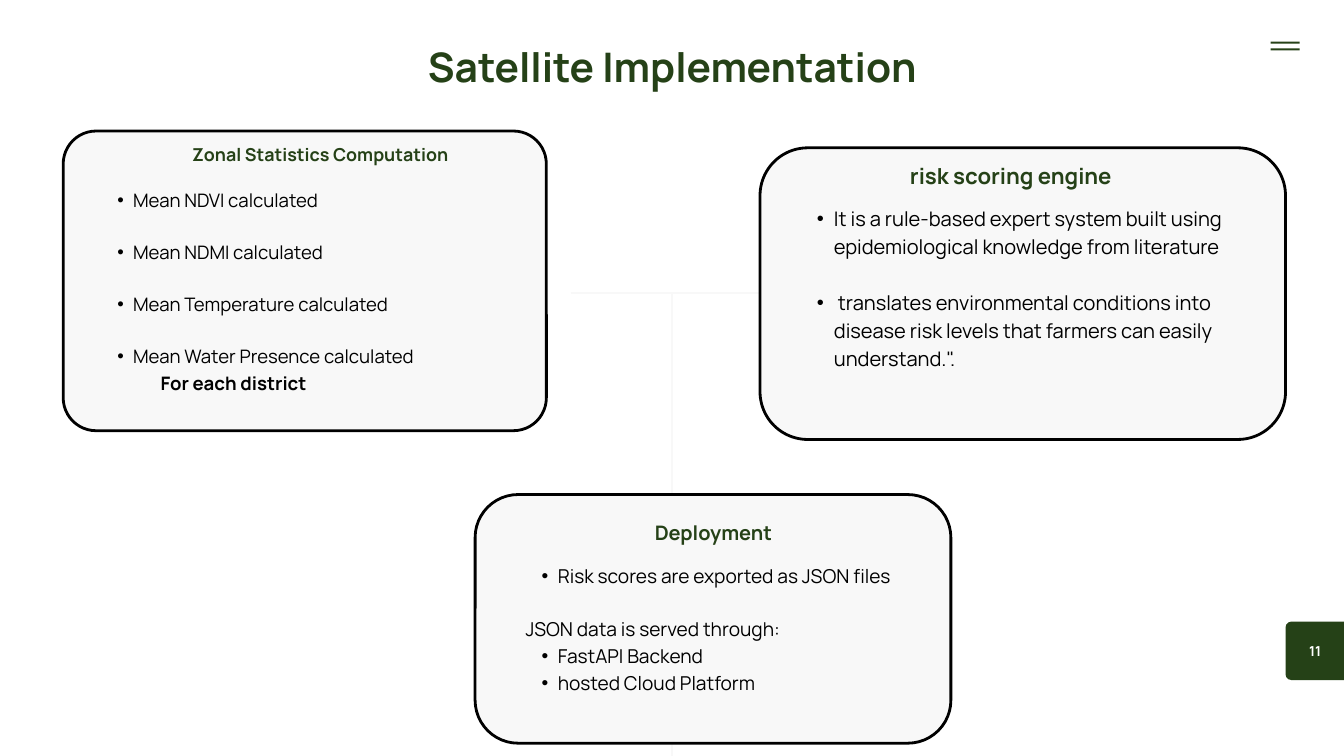
from lxml import etree
from pptx import Presentation
from pptx.dml.color import RGBColor
from pptx.enum.shapes import MSO_CONNECTOR, MSO_SHAPE
from pptx.enum.text import MSO_ANCHOR, MSO_AUTO_SIZE, PP_ALIGN
from pptx.oxml.ns import qn
from pptx.util import Inches, Pt

ROUNDED, BAR = MSO_SHAPE.ROUNDED_RECTANGLE, MSO_SHAPE.RECTANGLE
STRAIGHT = MSO_CONNECTOR.STRAIGHT
TOP, NO_FIT = MSO_ANCHOR.TOP, MSO_AUTO_SIZE.NONE
LEFT, CENTER, JUSTIFY = PP_ALIGN.LEFT, PP_ALIGN.CENTER, PP_ALIGN.JUSTIFY
GREEN, PALE, BLACK, WHITE = "254117", "F8F8F8", "000000", "FFFFFF"
FRAME = dict(margin_left=0, margin_top=0, margin_right=0, margin_bottom=0,
             word_wrap=True, auto_size=NO_FIT, vertical_anchor=TOP)


def color(hex_value):
    return RGBColor.from_string(hex_value)


def write(holder, box, lines, size, leading, ink, align):
    """Each line is (text, bold, bullet, indent in inches, blank lines above)."""
    holder.left, holder.top, holder.width, holder.height = map(Inches, box)
    frame = holder.text_frame
    for key, value in FRAME.items():
        setattr(frame, key, value)
    for i, (text, bold, bullet, indent, gap) in enumerate(lines):
        paragraph = frame.paragraphs[0] if i == 0 else frame.add_paragraph()
        props = paragraph._p.get_or_add_pPr()
        props.set("marL", str(Inches(indent)))
        props.set("indent", str(Inches(-indent / 2 if bullet else 0)))
        if bullet:
            etree.SubElement(props, qn("a:buFont"), typeface="Arial")
            etree.SubElement(props, qn("a:buChar"), char="•")
        else:
            etree.SubElement(props, qn("a:buNone"))
        layout = dict(alignment=align, line_spacing=Pt(leading),
                      space_before=Pt(gap * leading), space_after=Pt(0))
        for key, value in layout.items():
            setattr(paragraph, key, value)
        run = paragraph.add_run()
        run.text = text
        for key, value in dict(name="Manrope", size=Pt(size), bold=bold).items():
            setattr(run.font, key, value)
        run.font.color.rgb = color(ink)


deck = Presentation()
deck.slide_width, deck.slide_height = Inches(20), Inches(11.25)
slide = deck.slides.add_slide(deck.slide_layouts[4])
shapes = slide.shapes

write(shapes.title, (5.85, 0.5, 8.31, 0.87),
      [("Satellite Implementation", True, False, 0, 0)], 43.6, 61, GREEN, CENTER)

green_pieces = [
    (BAR, (18.91, 0.62, 0.43, 0.03)),
    (BAR, (18.91, 0.72, 0.43, 0.03)),
    (ROUNDED, (19.13, 9.25, 1.04, 0.87)),
]
for outline, box in green_pieces:
    piece = shapes.add_shape(outline, *map(Inches, box))
    if outline == ROUNDED:
        piece.adjustments[0] = 0.1
    piece.shadow.inherit = False
    piece.fill.solid()
    piece.fill.fore_color.rgb = color(GREEN)
    piece.line.fill.background()
page_number = shapes.add_textbox(0, 0, 0, 0)
write(page_number, (19.33, 9.53, 0.48, 0.28), [("11", True, False, 0, 0)], 14.7, 20.6, WHITE, CENTER)

for x1, y1, x2, y2 in ((8.49, 4.36, 11.51, 4.36), (10, 4.38, 10, 11.25)):
    link = shapes.add_connector(STRAIGHT, Inches(x1), Inches(y1), Inches(x2), Inches(y2))
    link.line.color.rgb = color(PALE)
    link.line.width = Pt(2.25)
    etree.SubElement(link._element.spPr, qn("a:effectLst"))

cards = [
    dict(box=(0.94, 1.95, 7.19, 4.46), radius=0.49,
         heading="Zonal Statistics Computation", heading_box=(2.48, 2.08, 4.57, 0.36),
         heading_size=19.1, heading_leading=26.7,
         slot=1, list_box=(1.51, 2.76, 5.71, 3.03), size=19.9, leading=27.9, align=LEFT,
         lines=[("Mean NDVI calculated", False, True, 0.47, 0),
                ("Mean NDMI calculated", False, True, 0.47, 1),
                ("Mean Temperature calculated", False, True, 0.47, 1),
                ("Mean Water Presence calculated", False, True, 0.47, 1),
                ("For each district", True, False, 0.88, 0)]),
    dict(box=(11.31, 2.2, 7.82, 4.34), radius=0.71,
         heading="risk scoring engine", heading_box=(12.99, 2.35, 4.1, 0.46),
         heading_size=23.7, heading_leading=33.1,
         slot=2, list_box=(11.9, 3.01, 6.64, 2.89), size=21.5, leading=30.1, align=LEFT,
         lines=[("It is a rule-based expert system built using epidemiological "
                 "knowledge from literature", False, True, 0.51, 0),
                (" translates environmental conditions into disease risk levels "
                 "that farmers can easily understand.\".", False, True, 0.51, 1)]),
    dict(box=(7.07, 7.36, 7.08, 3.7), radius=0.64,
         heading="Deployment", heading_box=(8.54, 7.68, 4.15, 0.41),
         heading_size=21.4, heading_leading=30,
         slot=4, list_box=(7.82, 8.34, 6.33, 1.97), size=20.5, leading=28.7, align=JUSTIFY,
         lines=[("Risk scores are exported as JSON files", False, True, 0.48, 0),
                ("JSON data is served through:", False, False, 0, 1),
                ("FastAPI Backend", False, True, 0.48, 0),
                ("hosted Cloud Platform", False, True, 0.48, 0)]),
]
slots = {holder.placeholder_format.idx: holder for holder in slide.placeholders}
for card in cards:
    panel = shapes.add_shape(ROUNDED, *map(Inches, card["box"]))
    panel.adjustments[0] = card["radius"] / card["box"][3]
    panel.shadow.inherit = False
    panel.fill.solid()
    panel.fill.fore_color.rgb = color(PALE)
    panel.line.color.rgb = color(BLACK)
    panel.line.width = Pt(3)
    heading = shapes.add_textbox(0, 0, 0, 0)
    write(heading, card["heading_box"], [(card["heading"], True, False, 0, 0)],
          card["heading_size"], card["heading_leading"], GREEN, CENTER)
    steps = slots[card["slot"]]
    panel._element.getparent().append(steps._element)
    write(steps, card["list_box"], card["lines"], card["size"], card["leading"], BLACK, card["align"])

unused = slots[3]._element
unused.getparent().remove(unused)

deck.save("out.pptx")
